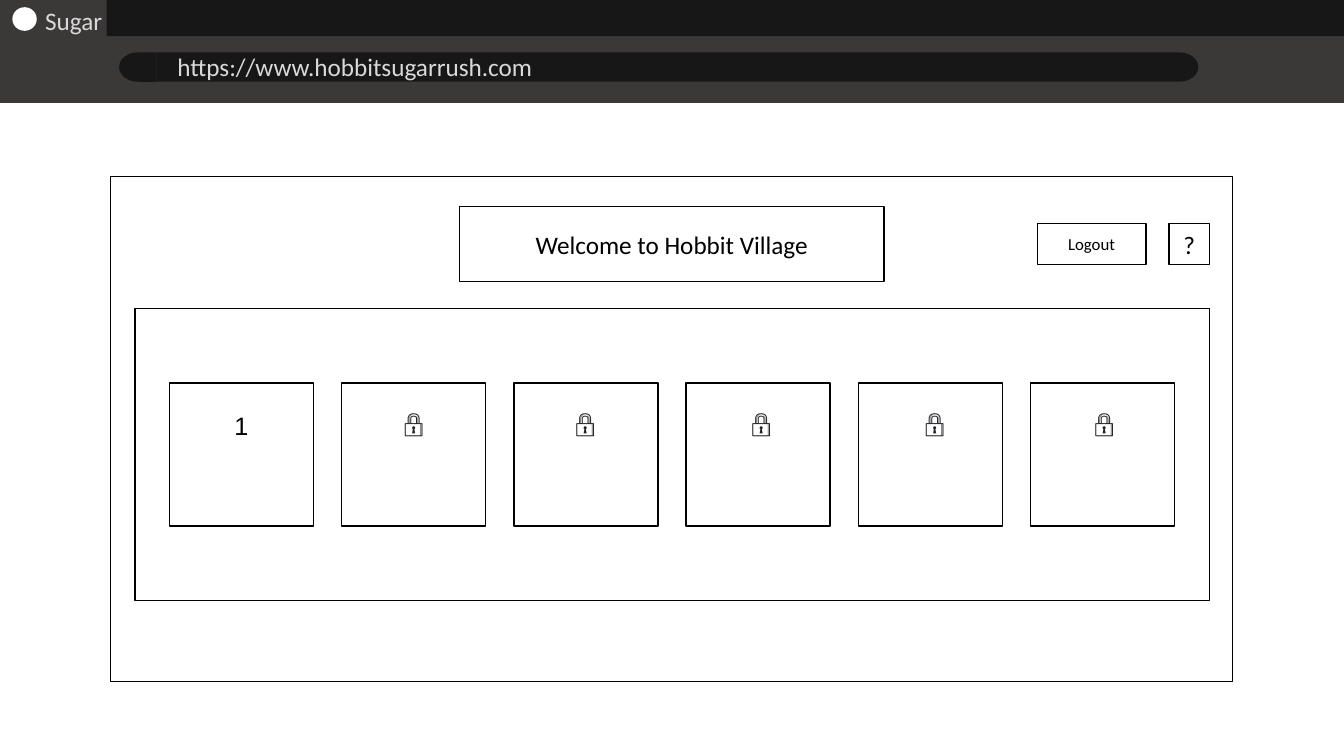
from pptx import Presentation
from pptx.dml.color import RGBColor
from pptx.enum.shapes import MSO_SHAPE
from pptx.enum.text import MSO_ANCHOR, PP_ALIGN
from pptx.util import Cm, Pt


def color(value):
    return RGBColor.from_string(value)


class Wireframe:
    white, black = "FFFFFF", "000000"
    chrome, bar, muted, icon = "3B3838", "181717", "D9D9D9", "202124"

    def __init__(self, presentation):
        self.slide = presentation.slides.add_slide(presentation.slide_layouts[5])

    def paint(self, shape, fill, line):
        shape.fill.solid()
        shape.fill.fore_color.rgb = color(fill)
        if line:
            shape.line.color.rgb = color(line)
            shape.line.width = Pt(1)
        else:
            shape.line.fill.background()

    def label(self, shape, text, size=18, font="Calibri", ink=black,
              align=PP_ALIGN.CENTER, anchor=MSO_ANCHOR.MIDDLE):
        frame = shape.text_frame
        frame.word_wrap = True
        frame.vertical_anchor = anchor
        frame.text = text
        paragraph = frame.paragraphs[0]
        paragraph.alignment = align
        paragraph.font.size = Pt(size)
        paragraph.font.name = font
        paragraph.font.color.rgb = color(ink)

    def shape(self, left, top, width, height, fill=white, line=black,
              kind=MSO_SHAPE.RECTANGLE):
        shape = self.slide.shapes.add_shape(
            kind, Cm(left), Cm(top), Cm(width), Cm(height))
        shape.shadow.inherit = False
        self.paint(shape, fill, line)
        return shape

    def text(self, left, top, width, height, text, **style):
        box = self.slide.shapes.add_textbox(
            Cm(left), Cm(top), Cm(width), Cm(height))
        self.label(box, text, anchor=MSO_ANCHOR.TOP, **style)

    def title(self, left, top, width, height, text):
        title = self.slide.shapes.title
        title.left, title.top = Cm(left), Cm(top)
        title.width, title.height = Cm(width), Cm(height)
        self.paint(title, self.white, self.black)
        self.label(title, text)
        element = title.element
        element.getparent().append(element)

    def browser(self):
        self.shape(0, 0, 33.87, 2.59, self.chrome, self.chrome)
        self.shape(2.69, 0, 31.18, 0.91, self.bar, None)
        self.shape(3.94, 1.32, 25.32, 0.74, self.bar, None)
        for left, angle in ((29.26, 0), (3, 180)):
            cap = self.shape(left, 1.32, 0.94, 0.74, self.bar, None,
                             MSO_SHAPE.FLOWCHART_DELAY)
            cap.rotation = angle
        self.text(4.22, 1.17, 23.04, 1.02, "https://www.hobbitsugarrush.com",
                  ink=self.muted, align=PP_ALIGN.LEFT)
        self.shape(0.33, 0.2, 0.58, 0.56, self.white, self.white,
                   MSO_SHAPE.FLOWCHART_CONNECTOR)
        self.text(0.89, 0, 6.93, 1.02, "Sugar",
                  ink=self.muted, align=PP_ALIGN.LEFT)

    def levels(self):
        self.shape(3.4, 7.77, 27.08, 7.37)
        tiles = [self.shape(4.27 + 4.34 * column, 9.65, 3.63, 3.61)
                 for column in range(6)]
        self.label(tiles[0], "1", font="Arial", anchor=MSO_ANCHOR.TOP)
        tiles[0].text_frame.margin_top = Cm(0.7)
        for left in (8.61, 12.93, 17.37, 21.74, 26.01):
            self.text(left, 10.15, 3.63, 2.57, "🔒", font="Arial", ink=self.icon)


def main():
    presentation = Presentation()
    presentation.slide_width = Cm(33.87)
    presentation.slide_height = Cm(19.05)
    wireframe = Wireframe(presentation)
    wireframe.browser()
    wireframe.shape(2.79, 4.45, 28.27, 12.73)
    wireframe.title(11.58, 5.2, 10.7, 1.9, "Welcome to Hobbit Village")
    wireframe.levels()
    for left, width, label, size in ((29.46, 1.02, "?", 18),
                                     (26.14, 2.74, "Logout", 12)):
        button = wireframe.shape(left, 5.64, width, 1.02)
        wireframe.label(button, label, size)
    presentation.save("out.pptx")


if __name__ == "__main__":
    main()
